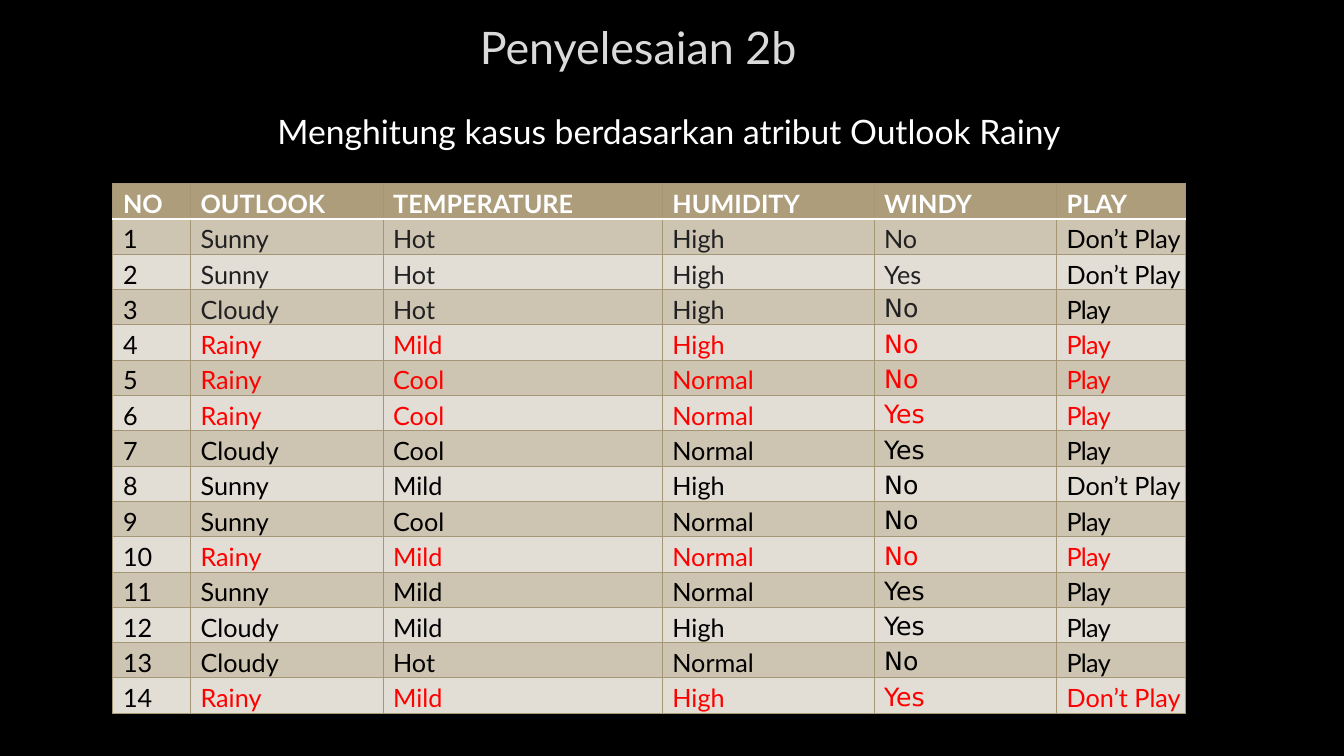
from dataclasses import dataclass

from lxml import etree
from pptx import Presentation
from pptx import util as u
from pptx.dml.color import RGBColor
from pptx.enum import text
from pptx.oxml import ns

FONT = "Lato"
HEADERS = ["NO", "OUTLOOK", "TEMPERATURE", "HUMIDITY", "WINDY", "PLAY"]
COL_WIDTHS = [0.77, 1.91, 2.77, 2.1, 1.81, 1.28]
ROW_HEIGHT = 0.35
HEADER_FILL, ODD_FILL, EVEN_FILL = "AD9D7B", "CDC4B1", "E2DDD5"
GRID, WHITE, BLACK, CHARCOAL, RED = "A59675", "FFFFFF", "000000", "212123", "FF0000"
GREY_ROWS = 3  # the first cases are written in charcoal


@dataclass
class Case:
    outlook: str
    temperature: str
    humidity: str
    windy: str
    play: str

    def values(self) -> list[str]:
        return [self.outlook, self.temperature, self.humidity, self.windy, self.play]


@dataclass
class Label:
    words: str
    left: float
    top: float
    width: float
    height: float
    size: int
    color: str


CASES = [
    Case("Sunny", "Hot", "High", "No", "Don’t Play"),
    Case("Sunny", "Hot", "High", "Yes", "Don’t Play"),
    Case("Cloudy", "Hot", "High", "No", "Play"),
    Case("Rainy", "Mild", "High", "No", "Play"),
    Case("Rainy", "Cool", "Normal", "No", "Play"),
    Case("Rainy", "Cool", "Normal", "Yes", "Play"),
    Case("Cloudy", "Cool", "Normal", "Yes", "Play"),
    Case("Sunny", "Mild", "High", "No", "Don’t Play"),
    Case("Sunny", "Cool", "Normal", "No", "Play"),
    Case("Rainy", "Mild", "Normal", "No", "Play"),
    Case("Sunny", "Mild", "Normal", "Yes", "Play"),
    Case("Cloudy", "Mild", "High", "Yes", "Play"),
    Case("Cloudy", "Hot", "Normal", "No", "Play"),
    Case("Rainy", "Mild", "High", "Yes", "Don’t Play"),
]

LABELS = [
    Label("Penyelesaian 2b", 1.12, 0.25, 10.42, 0.43, 32, "DADADA"),
    Label("Menghitung kasus berdasarkan atribut Outlook Rainy",
          1.12, 1.05, 11.03, 0.5, 24, WHITE),
]


def rgb(color: str) -> RGBColor:
    return RGBColor.from_string(color)


def style_run(r, size: int, color: str, font: str = FONT, bold: bool = False) -> None:
    r.font.name = font
    r.font.size = u.Pt(size)
    r.font.bold = bold
    r.font.color.rgb = rgb(color)


def add_label(s, label: Label) -> None:
    box = s.shapes.add_textbox(u.Inches(label.left), u.Inches(label.top),
                               u.Inches(label.width), u.Inches(label.height))
    tf = box.text_frame
    tf.word_wrap = True
    tf.vertical_anchor = text.MSO_ANCHOR.MIDDLE
    tf.text = label.words
    p = tf.paragraphs[0]
    p.alignment = text.PP_ALIGN.CENTER
    style_run(p.runs[0], label.size, label.color)


def add_border(cell, side: str, color: str, points: float) -> None:
    """Draw one cell edge; side is L, R, T or B."""
    tc_pr = cell._tc.get_or_add_tcPr()
    ln = etree.SubElement(tc_pr, ns.qn(f"a:ln{side}"), w=str(u.Pt(points)))
    fill = etree.SubElement(ln, ns.qn("a:solidFill"))
    etree.SubElement(fill, ns.qn("a:srgbClr"), val=color)


def text_color(row: int, col: int) -> str:
    if row == 0:
        return WHITE
    if col > 0 and CASES[row - 1].outlook == "Rainy":
        return RED
    if row <= GREY_ROWS and 0 < col < len(HEADERS) - 1:
        return CHARCOAL
    return BLACK


def fill_cell(cell, words: str, row: int, col: int) -> None:
    header_edge = {0: "B", 1: "T"}.get(row)
    for side in "LRTB":
        if side == header_edge:
            add_border(cell, side, WHITE, 1.25)
        else:
            add_border(cell, side, GRID, 0.75)
    cell.fill.solid()
    band = ODD_FILL if row % 2 else EVEN_FILL
    cell.fill.fore_color.rgb = rgb(band if row else HEADER_FILL)
    cell.margin_left, cell.margin_top = u.Inches(0.1), u.Inches(0.05)
    cell.margin_right = cell.margin_bottom = 0
    cell.text_frame.text = words
    r = cell.text_frame.paragraphs[0].runs[0]
    wide = HEADERS[col] == "WINDY" and row >= 3
    style_run(r, 18, text_color(row, col), "DejaVu Sans" if wide else FONT, row == 0)
    if words == "Play":
        r.font._element.set("spc", "-50")


def add_case_table(s) -> None:
    rows = [HEADERS] + [[str(n), *case.values()] for n, case in enumerate(CASES, 1)]
    frame = s.shapes.add_table(len(rows), len(HEADERS), u.Inches(1.12), u.Inches(1.82),
                               u.Inches(sum(COL_WIDTHS)),
                               u.Inches(ROW_HEIGHT * len(rows)))
    table = frame.table
    for column, width in zip(table.columns, COL_WIDTHS):
        column.width = u.Inches(width)
    for i, values in enumerate(rows):
        table.rows[i].height = u.Inches(ROW_HEIGHT)
        for j, words in enumerate(values):
            fill_cell(table.cell(i, j), words, i, j)


def main() -> None:
    prs = Presentation()
    prs.slide_width, prs.slide_height = u.Inches(13.33), u.Inches(7.5)
    s = prs.slides.add_slide(prs.slide_layouts[6])
    s.background.fill.solid()
    s.background.fill.fore_color.rgb = rgb(BLACK)
    add_case_table(s)
    for label in LABELS:
        add_label(s, label)
    prs.save("out.pptx")


if __name__ == "__main__":
    main()
